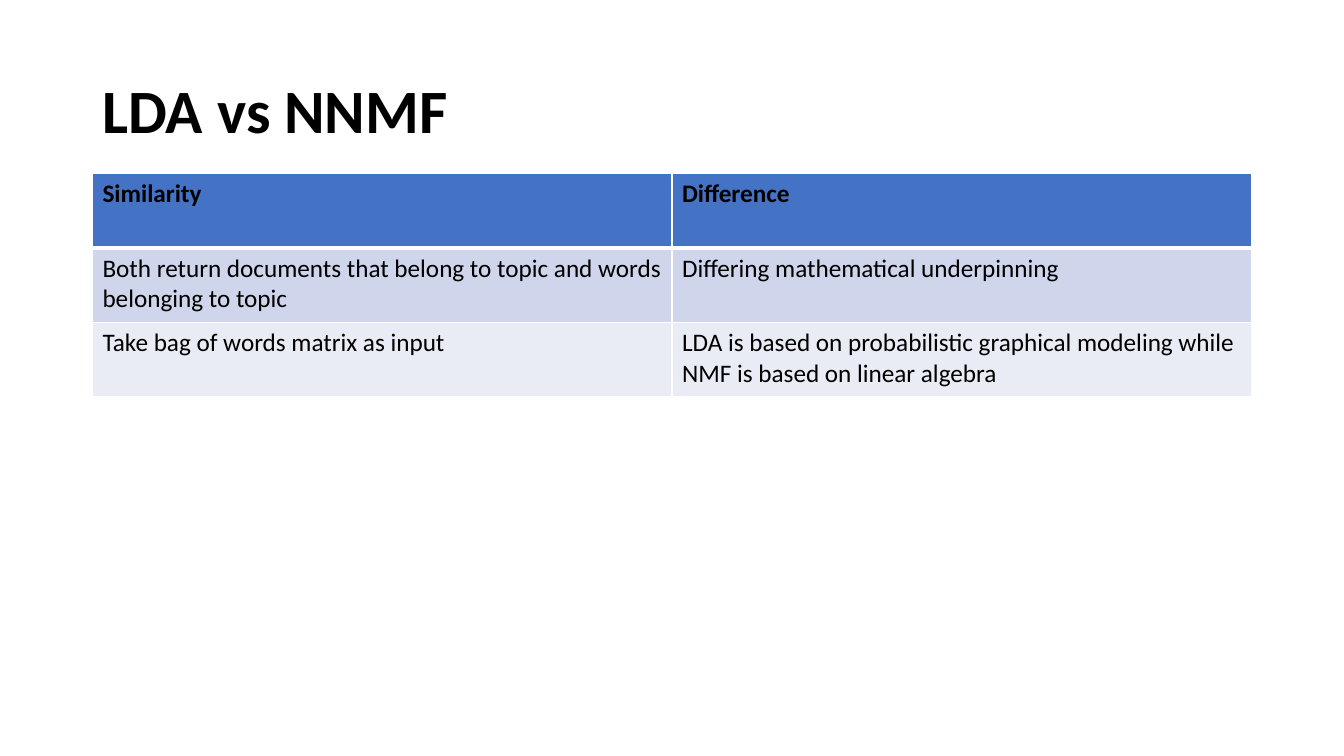
from lxml.etree import SubElement
from pptx import Presentation
from pptx.dml.color import RGBColor
from pptx.enum.text import MSO_ANCHOR
from pptx.oxml.ns import qn
from pptx.util import Cm, Pt

BLACK = RGBColor(0x00, 0x00, 0x00)
WHITE = RGBColor(0xFF, 0xFF, 0xFF)
HEADER_BLUE = RGBColor(0x44, 0x72, 0xC4)
BAND_DARK = RGBColor(0xCF, 0xD5, 0xEA)
BAND_LIGHT = RGBColor(0xE9, 0xEB, 0xF5)

ROWS = [
    ("Similarity", "Difference"),
    ("Both return documents that belong to topic and words belonging to topic",
     "Differing mathematical underpinning"),
    ("Take bag of words matrix as input",
     "LDA is based on probabilistic graphical modeling while NMF is based on linear algebra"),
]
ROW_FILLS = [HEADER_BLUE, BAND_DARK, BAND_LIGHT]
LEFT, WIDTH, ROW_HEIGHT = Cm(2.33), Cm(29.21), Cm(1.87)


def style_font(paragraph, size, bold):
    paragraph.font.name = "Calibri"
    paragraph.font.size = Pt(size)
    paragraph.font.bold = bold
    paragraph.font.color.rgb = BLACK


def add_border(cell, side, width):
    line = SubElement(cell._tc.get_or_add_tcPr(), qn(f"a:{side}"), w=str(Pt(width)))
    fill = SubElement(line, qn("a:solidFill"))
    SubElement(fill, qn("a:srgbClr"), val=str(WHITE))


presentation = Presentation()
presentation.slide_width = Cm(33.87)
presentation.slide_height = Cm(19.05)
slide = presentation.slides.add_slide(presentation.slide_layouts[6])

title = slide.shapes.add_textbox(LEFT, Cm(1.01), WIDTH, Cm(3.68))
title.text_frame.word_wrap = True
title.text_frame.vertical_anchor = MSO_ANCHOR.MIDDLE
paragraph = title.text_frame.paragraphs[0]
paragraph.text = "LDA vs NNMF"
paragraph.line_spacing = 0.9
style_font(paragraph, 44, True)

table = slide.shapes.add_table(
    len(ROWS), 2, LEFT, Cm(4.38), WIDTH, ROW_HEIGHT * len(ROWS)).table
for row_index, (texts, row_fill) in enumerate(zip(ROWS, ROW_FILLS)):
    is_header = row_index == 0
    for column_index, text in enumerate(texts):
        cell = table.cell(row_index, column_index)
        cell.text = text
        style_font(cell.text_frame.paragraphs[0], 18, is_header)
        add_border(cell, "lnL", 1)
        add_border(cell, "lnR", 1)
        add_border(cell, "lnT", 3 if row_index == 1 else 1)
        add_border(cell, "lnB", 3 if is_header else 1)
        cell.fill.solid()
        cell.fill.fore_color.rgb = row_fill

presentation.save("out.pptx")
